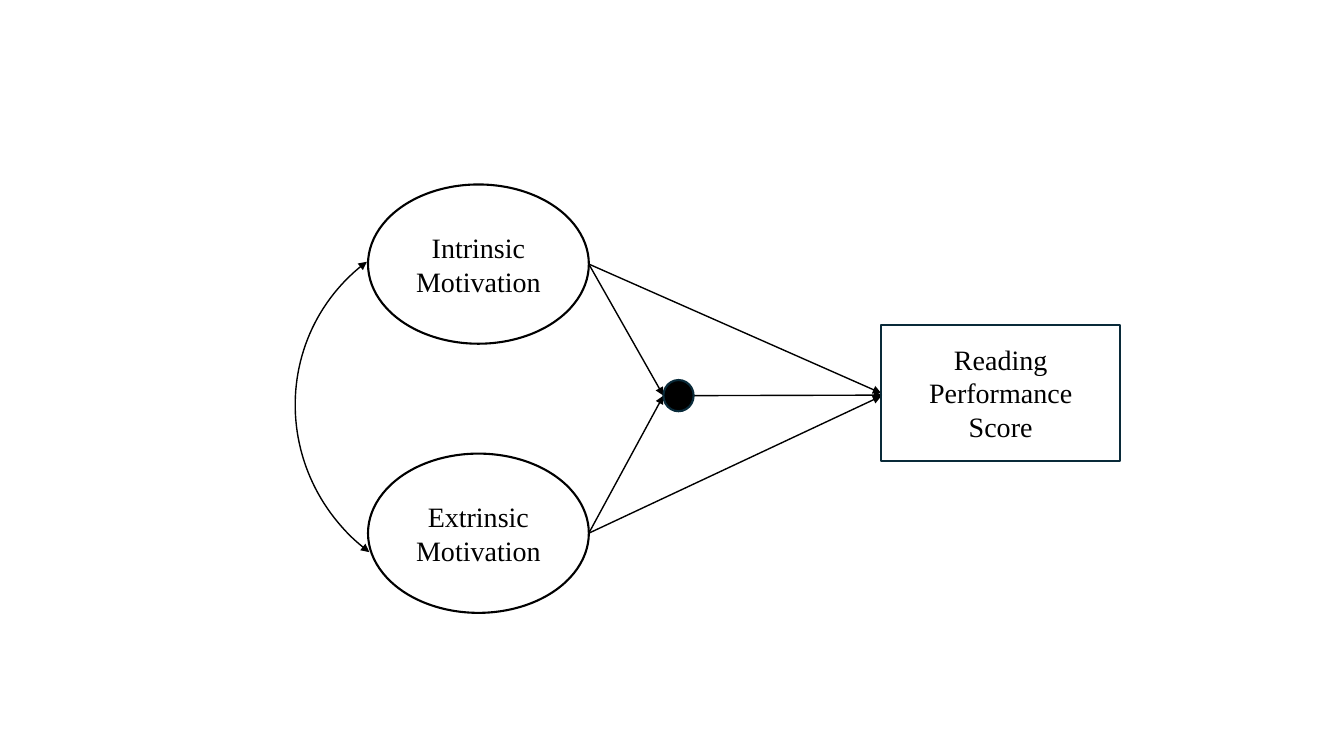
from lxml import etree
from pptx import Presentation
from pptx.dml.color import RGBColor
from pptx.enum.shapes import MSO_CONNECTOR, MSO_SHAPE
from pptx.enum.text import MSO_ANCHOR, PP_ALIGN
from pptx.oxml.ns import qn
from pptx.util import Inches, Pt

COLORS = {"ink": "000000", "edge": "092A39"}
FONT = "Times New Roman"

# Content: left, top, width, height in inches
MOTIVATIONS = [
    ("Intrinsic Motivation", (3.65, 1.83, 2.19, 1.58)),
    ("Extrinsic Motivation", (3.65, 4.5, 2.19, 1.58)),
]
SCORE = (["Reading Performance", "Score"], (8.74, 3.22, 2.37, 1.35))
INTERACTION = (6.58, 3.77, 0.3, 0.31)
CORRELATION = (2.91, 2.27, 3.61, 3.55)
SCORE_ENTRIES = [(8.74, 3.9), (8.74, 3.93)]  # arrow tips, one per motivation

prs = Presentation()
prs.slide_width, prs.slide_height = Inches(13.33), Inches(7.5)
slide = prs.slides.add_slide(prs.slide_layouts[6])


def rgb(name):
    return RGBColor.from_string(COLORS[name])


def add_node(kind, box, line="ink", width=1.5, fill=None):
    node = slide.shapes.add_shape(kind, *map(Inches, box))
    node.shadow.inherit = False
    node.line.color.rgb = rgb(line)
    node.line.width = Pt(width)
    if fill:
        node.fill.solid()
        node.fill.fore_color.rgb = rgb(fill)
    else:
        node.fill.background()
    return node


def write(node, lines, size=20, color="ink", align=PP_ALIGN.CENTER):
    frame = node.text_frame
    frame.word_wrap = True
    frame.vertical_anchor = MSO_ANCHOR.MIDDLE
    for i, line in enumerate(lines):
        para = frame.paragraphs[0] if i == 0 else frame.add_paragraph()
        para.alignment = align
        run = para.add_run()
        run.text = line
        run.font.name, run.font.size = FONT, Pt(size)
        run.font.color.rgb = rgb(color)


def add_heads(item, *ends):
    ln = item.line._get_or_add_ln()
    for end in ends:
        etree.SubElement(ln, qn(f"a:{end}"), type="triangle")


def add_arrow(start, end):
    arrow = slide.shapes.add_connector(
        MSO_CONNECTOR.STRAIGHT, *map(Inches, (*start, *end)))
    arrow.line.color.rgb = rgb("ink")
    arrow.line.width = Pt(1)
    add_heads(arrow, "tailEnd")
    etree.SubElement(arrow._element.spPr, qn("a:effectLst"))


def left_middle(box):
    left, top, _, height = box
    return left, top + height / 2


def right_middle(box):
    left, top, width, height = box
    return left + width, top + height / 2


# Two-headed arc between the motivations
correlation = add_node(MSO_SHAPE.ARC, CORRELATION, width=1)
correlation.rotation = 230
correlation.adjustments[0] = 153.77
correlation.adjustments[1] = 2.04
add_heads(correlation, "headEnd", "tailEnd")

# Motivations, each with arrows to the score and the interaction
for (label, box), entry in zip(MOTIVATIONS, SCORE_ENTRIES):
    write(add_node(MSO_SHAPE.OVAL, box), [label])
    add_arrow(right_middle(box), entry)
    add_arrow(right_middle(box), left_middle(INTERACTION))

# Interaction dot and its arrow
add_arrow(right_middle(INTERACTION), (8.75, 3.92))
add_node(MSO_SHAPE.OVAL, INTERACTION, line="edge", fill="ink")

# Score box
score_lines, score_box = SCORE
write(add_node(MSO_SHAPE.RECTANGLE, score_box, line="edge"), score_lines)

prs.save("out.pptx")
